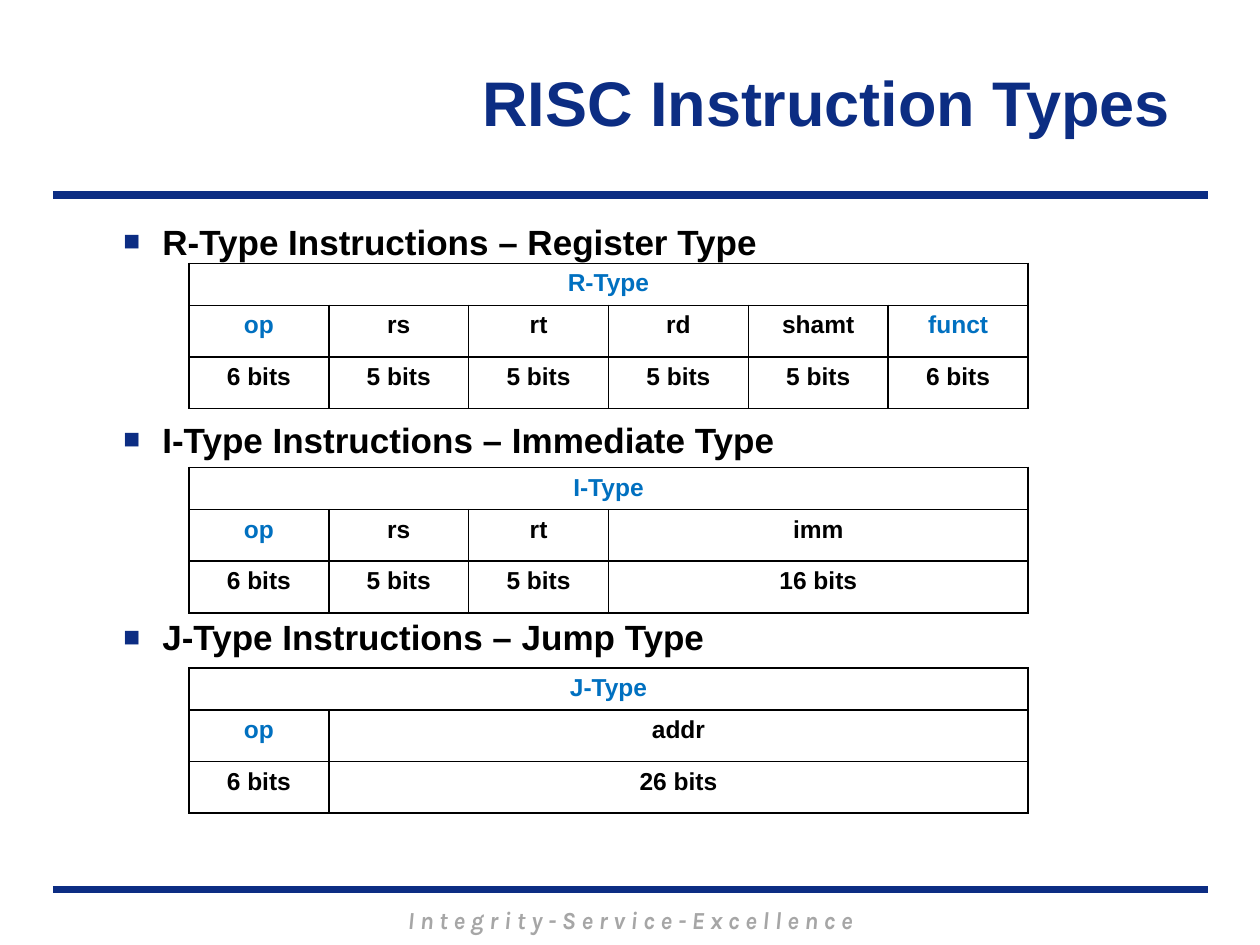
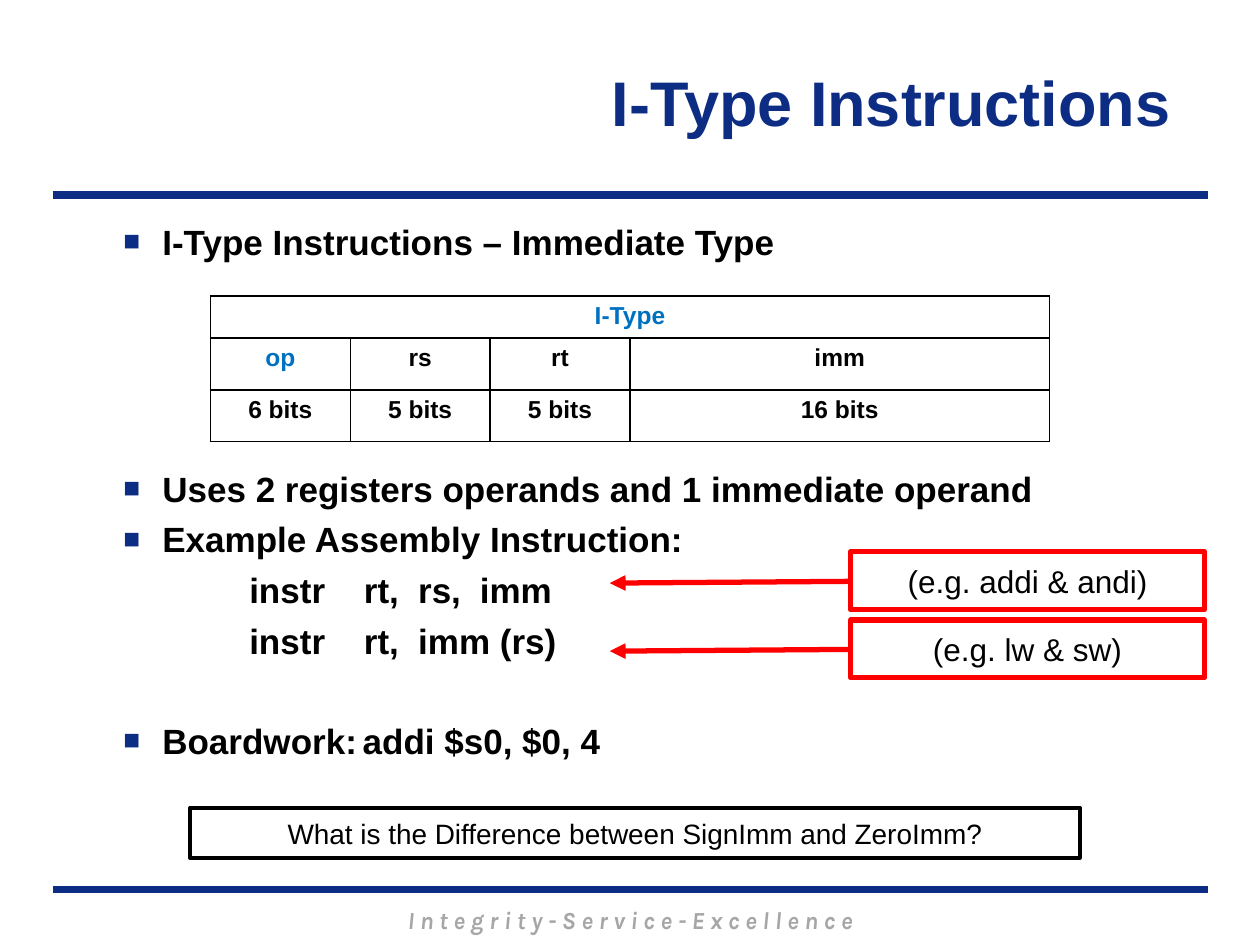
from lxml import etree
from pptx import Presentation
from pptx.dml.color import RGBColor
from pptx.enum import shapes, text
from pptx.oxml import ns
from pptx.util import Inches, Pt

NAVY = RGBColor(0x0C, 0x2D, 0x83)
BLUE = RGBColor(0x00, 0x70, 0xC0)
BLACK = RGBColor(0, 0, 0)
WHITE = RGBColor(0xFF, 0xFF, 0xFF)
GRAY = RGBColor(0xA6, 0xA6, 0xA6)
RED = RGBColor(0xFF, 0, 0)

FIELD = 1.11       # width of one table column
ROWS = (0.33, 0.41, 0.41)
LINE_GAP = 5       # points before each body line
LINE_PITCH = 28    # points from one body line to the next

MOTTO = "I n t e g r i t y - S e r v i c e - E x c e l l e n c e"
I_HEADING = "I-Type Instructions – Immediate Type"

# Each field: name, bits, columns it spans
R_FIELDS = [("op", 6, 1), ("rs", 5, 1), ("rt", 5, 1),
            ("rd", 5, 1), ("shamt", 5, 1), ("funct", 6, 1)]
I_FIELDS = [("op", 6, 1), ("rs", 5, 1), ("rt", 5, 1), ("imm", 16, 3)]
J_FIELDS = [("op", 6, 1), ("addr", 26, 5)]


def add_xml(parent, tag, **attributes):
    return etree.SubElement(parent, ns.qn(tag), attributes)


def style(paragraph, size, color=BLACK, bold=False, align=None, face="Arial"):
    font = paragraph.font
    font.name, font.size, font.bold = face, Pt(size), bold
    font.color.rgb = color
    paragraph.alignment = align


def add_textbox(slide, left, top, width, height):
    frame = slide.shapes.add_textbox(
        Inches(left), Inches(top), Inches(width), Inches(height)).text_frame
    frame.word_wrap = True
    return frame


# Shared frame: title, two bands, motto
def add_band(slide, y):
    band = slide.shapes.add_connector(
        shapes.MSO_CONNECTOR.STRAIGHT,
        Inches(0.42), Inches(y), Inches(9.59), Inches(y))
    band.line.color.rgb = NAVY
    band.line.width = Pt(4.5)
    add_xml(band._element.spPr, "a:effectLst")


def add_framed_slide(deck, heading):
    slide = deck.slides.add_slide(deck.slide_layouts[6])
    for y in (7.06, 1.55):
        add_band(slide, y)

    motto = add_textbox(slide, 1.42, 7.13, 7.17, 0.34).paragraphs[0]
    motto.text = MOTTO
    style(motto, 14, GRAY, True, text.PP_ALIGN.CENTER, "Karla")
    motto.font.italic = True

    title = add_textbox(slide, 0.39, 0.18, 9, 1.25)
    title.vertical_anchor = text.MSO_ANCHOR.MIDDLE
    title.text = heading
    style(title.paragraphs[0], 36, NAVY, True, text.PP_ALIGN.RIGHT)
    return slide


# Body text
def add_body(slide):
    return add_textbox(slide, 0.88, 1.7, 8.89, 4.7)


def add_line(body, wording, skipped=0, tabs=()):
    """Add a body line, leaving room for some skipped lines above it."""
    first = not body.text
    line = body.paragraphs[0] if first else body.add_paragraph()
    line.text = wording
    style(line, 20, bold=True)
    line.space_before = Pt(0 if first else LINE_GAP + skipped * LINE_PITCH)
    if tabs:
        stops = add_xml(line._p.get_or_add_pPr(), "a:tabLst")
        for stop in tabs:
            add_xml(stops, "a:tab", pos=str(Inches(stop)), algn="l")
        # Tab stops stand before the default run properties
        stops.getparent().find(ns.qn("a:defRPr")).addprevious(stops)
    return line


def add_bullet(body, wording, skipped=0, tabs=()):
    properties = add_line(body, wording, skipped, tabs)._p.get_or_add_pPr()
    properties.set("marL", str(Inches(0.31)))
    properties.set("indent", str(-Inches(0.31)))
    follower = properties.find(ns.qn("a:tabLst"))
    if follower is None:
        follower = properties.find(ns.qn("a:defRPr"))
    color = add_xml(properties, "a:buClr")
    add_xml(color, "a:srgbClr", val=str(NAVY))
    marks = (color,
             add_xml(properties, "a:buSzPct", val="80000"),
             add_xml(properties, "a:buFont", typeface="Arial"),
             add_xml(properties, "a:buChar", char="■"))
    for mark in marks:
        follower.addprevious(mark)


# Instruction format tables
def fill_cell(cell, wording, color):
    cell.text = wording
    style(cell.text_frame.paragraphs[0], 14, color, True, text.PP_ALIGN.CENTER)


def border_cell(cell):
    properties = cell._tc.get_or_add_tcPr()
    for side in ("a:lnL", "a:lnR", "a:lnT", "a:lnB"):
        edge = add_xml(properties, side, w=str(Pt(1)))
        add_xml(add_xml(edge, "a:solidFill"), "a:srgbClr", val=str(BLACK))
    cell.fill.solid()
    cell.fill.fore_color.rgb = WHITE


def add_format(slide, left, top, name, fields):
    table = slide.shapes.add_table(
        len(ROWS), len(fields), Inches(left), Inches(top),
        Inches(6 * FIELD), Inches(sum(ROWS))).table
    table.first_row = table.horz_banding = False
    for row, height in zip(table.rows, ROWS):
        row.height = Inches(height)
    for cell in table.iter_cells():
        border_cell(cell)

    table.cell(0, 0).merge(table.cell(0, len(fields) - 1))
    fill_cell(table.cell(0, 0), name, BLUE)
    for column, (field, bits, span) in enumerate(fields):
        table.columns[column].width = Inches(span * FIELD)
        color = BLUE if field in ("op", "funct") else BLACK
        fill_cell(table.cell(1, column), field, color)
        fill_cell(table.cell(2, column), f"{bits} bits", BLACK)


# Outlined boxes
def add_box(slide, kind, place, wording, size, color, weight):
    box = slide.shapes.add_shape(kind, *map(Inches, place))
    box.shadow.inherit = False
    box.line.color.rgb = color
    box.line.width = Pt(weight)
    add_xml(box.line._get_or_add_ln(), "a:round")
    box.text_frame.word_wrap = True
    box.text_frame.vertical_anchor = text.MSO_ANCHOR.MIDDLE
    box.text_frame.text = wording
    style(box.text_frame.paragraphs[0], size, align=text.PP_ALIGN.CENTER)
    return box


def add_example(slide, top, wording):
    example = add_box(slide, shapes.MSO_SHAPE.LINE_CALLOUT_1,
                      (6.75, top, 2.81, 0.46), wording, 18, RED, 3)
    example.fill.background()
    for index, value in enumerate((0.51, 0, 0.54, -0.68)):
        example.adjustments[index] = value
    add_xml(example.line._get_or_add_ln(), "a:tailEnd", type="triangle")


def add_question(slide, wording):
    question = add_box(slide, shapes.MSO_SHAPE.RECTANGLE,
                       (1.51, 6.41, 7.06, 0.4), wording, 16, BLACK, 2.25)
    question.fill.solid()
    question.fill.fore_color.rgb = WHITE


def build_types(deck):
    slide = add_framed_slide(deck, "RISC Instruction Types")
    body = add_body(slide)
    add_bullet(body, "R-Type Instructions – Register Type")
    add_bullet(body, I_HEADING, skipped=3)
    add_bullet(body, "J-Type Instructions – Jump Type", skipped=3)
    add_format(slide, 1.5, 5.3, "J-Type", J_FIELDS)
    add_format(slide, 1.5, 3.71, "I-Type", I_FIELDS)
    add_format(slide, 1.5, 2.09, "R-Type", R_FIELDS)


def build_i_type(deck):
    slide = add_framed_slide(deck, "I-Type Instructions")
    add_format(slide, 1.67, 2.35, "I-Type", I_FIELDS)

    body = add_body(slide)
    operand_tabs = (1, 1.91, 2.34, 2.83)
    add_bullet(body, I_HEADING)
    add_bullet(body, "Uses 2 registers operands and 1 immediate operand",
               skipped=4)
    add_bullet(body, "Example Assembly Instruction:")
    add_line(body, "\tinstr\trt,\trs,\timm", tabs=operand_tabs)
    add_line(body, "\tinstr\trt,\timm (rs)", tabs=operand_tabs)
    add_bullet(body, "Boardwork:\taddi $s0, $0, 4", skipped=1, tabs=(1.9,))

    add_example(slide, 4.38, "(e.g. addi & andi)")
    add_example(slide, 4.92, "(e.g. lw & sw)")
    add_question(slide, "What is the Difference between SignImm and ZeroImm?")


def main():
    deck = Presentation()
    deck.slide_width, deck.slide_height = Inches(10), Inches(7.5)
    build_types(deck)
    build_i_type(deck)
    deck.save("out.pptx")


if __name__ == "__main__":
    main()
